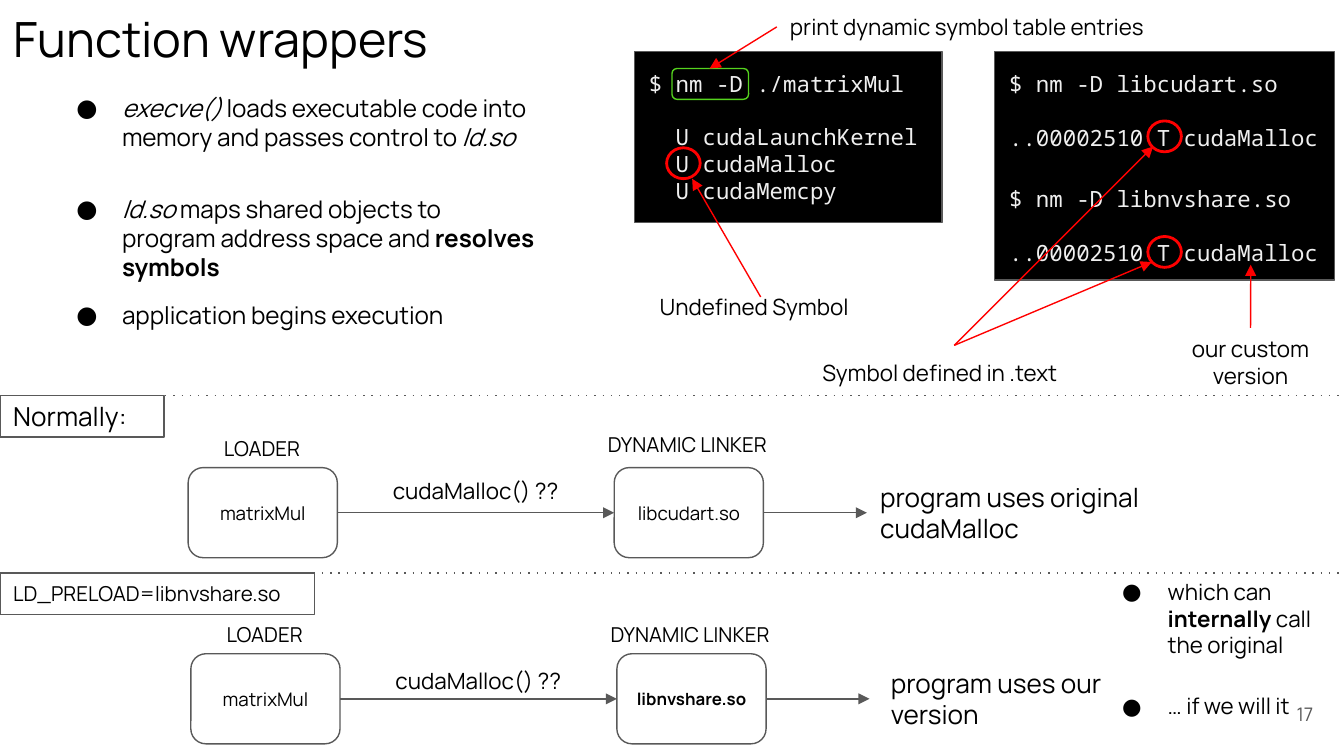
from lxml import etree
from pptx import Presentation
from pptx import util as u
from pptx.dml.color import RGBColor
from pptx.enum import shapes, text
from pptx.oxml.ns import qn

BLACK = RGBColor(0x00, 0x00, 0x00)
GREY = RGBColor(0x59, 0x59, 0x59)
PALE = RGBColor(0xEF, 0xEF, 0xEF)
RED = RGBColor(0xFF, 0x00, 0x00)
GREEN = RGBColor(0x55, 0xD3, 0x1E)
SANS, MONO = "Manrope", "Noto Sans Mono"
LEADING = 1.2  # line pitch as a multiple of the type size

# Grid: 100 columns across a 16:9 slide, rows of the same size
WIDTH = u.Inches(10)
HEIGHT = WIDTH * 9 // 16
CELL = WIDTH / 100

# ---- Content: places are (left, top, width, height) in grid cells ----
BULLETS = [
    ((3.1, 5.95, 38, 6.3), 13, [("execve()", "i"),
     (" loads executable code into memory and passes control to ", ""), ("ld.so", "i")]),
    ((3.1, 13.45, 38, 8.5), 13, [("ld.so", "i"),
     (" maps shared objects to program address space and ", ""), ("resolves symbols", "b")]),
    ((3.1, 21.35, 38, 4.2), 13, [("application begins execution", "")]),
    ((80.9, 42, 19.1, 8), 12, [("which can ", ""), ("internally", "b"),
     (" call the original", "")]),
    ((80.9, 50.5, 19.1, 4), 12, [("… if we will it", "")]),
]
SCREENS = [(47.2, 3.85, 22.9, 12.7), (74, 3.85, 25.3, 17)]
# The first line is the command, the rest its output
LISTINGS = [
    ((47.3, 4.2, 22.6, 12), ["$ nm -D ./matrixMul", "  U cudaLaunchKernel",
                             "  U cudaMalloc", "  U cudaMemcpy"]),
    ((74.1, 4.25, 25.1, 8), ["$ nm -D libcudart.so", "..00002510 T cudaMalloc"]),
    ((74.1, 12.8, 25.1, 8), ["$ nm -D libnvshare.so", "..00002510 T cudaMalloc"]),
]
CIRCLES = [(49.6, 11), (85.4, 9), (85.4, 17.6)]
NOTES = [
    ("Undefined Symbol", (48.1, 20.8, 18.2, 4), "left"),
    ("Symbol defined in .text", (60.2, 25.7, 21.6, 4), "left"),
    ("print dynamic symbol table entries", (57.8, 0, 31.7, 4), "left"),
    ("our custom version", (86.4, 23.95, 13.3, 6), "center"),
]
NOTE_ARROWS = [
    ((56.6, 22.1), (51.5, 13.3)), ((71, 25.7), (85.8, 10.9)),
    ((71, 25.7), (85.7, 19.5)), ((57.8, 2), (52.8, 5.1)), ((93.05, 24.4), (93.06, 19.7)),
]
FLOWS = [
    dict(left=14, top=34.8, library="libcudart.so", size=10, bold=False,
         linker_rise=3.6, call_rise=0.3,
         result="program uses original cudaMalloc", result_box=(64.5, 21.6),
         band=29.43, tag="Normally:", tag_size=14, tag_width=12.2),
    dict(left=14.2, top=48.65, library="libnvshare.so", size=9, bold=True,
         linker_rise=3.3, call_rise=0,
         result="program uses our version", result_box=(65.3, 18.9),
         band=42.63, tag="LD_PRELOAD=libnvshare.so", tag_size=11, tag_width=23.4),
]
NODE_WIDTH, NODE_HEIGHT, NODE_STEP, EXIT_LENGTH = 11.1, 6.7, 31.7, 7.7

deck = Presentation()
deck.slide_width, deck.slide_height = WIDTH, HEIGHT
page = deck.slides.add_slide(deck.slide_layouts[6])


def cells(values):
    return [round(value * CELL) for value in values]


def write(box, paragraphs, size=12, font=SANS, color=BLACK, align="left",
          anchor="top", bold=False, bullet=False, gap=0):
    """Fill box; a paragraph is a string or a list of (text, style) spans.

    gap is the space, in points, between the first two paragraphs.
    """
    frame = box.text_frame
    frame.word_wrap = True
    frame.vertical_anchor = text.MSO_ANCHOR[anchor.upper()]
    frame.margin_left = frame.margin_right = u.Inches(0.1)
    frame.margin_top = frame.margin_bottom = u.Inches(0.1)
    for index, spans in enumerate(paragraphs):
        para = frame.add_paragraph() if index else frame.paragraphs[0]
        if bullet:
            properties = para._p.get_or_add_pPr()
            properties.set("marL", str(u.Inches(0.5)))
            properties.set("indent", str(-u.Inches(0.34)))
            tint = etree.SubElement(properties, qn("a:buClr"))
            etree.SubElement(tint, qn("a:srgbClr"), val=str(color))
            etree.SubElement(properties, qn("a:buFont"), typeface=font)
            etree.SubElement(properties, qn("a:buChar"), char="●")
        para.alignment = text.PP_ALIGN[align.upper()]
        para.line_spacing = u.Pt(size * LEADING)
        if index == 1 and gap:
            para.space_before = u.Pt(gap)
        for content, style in [(spans, "")] if isinstance(spans, str) else spans:
            span = para.add_run()
            span.text = content
            span.font.name, span.font.size = font, u.Pt(size)
            span.font.color.rgb = color
            span.font.bold = bold or style == "b"
            span.font.italic = style == "i"


def label(place, paragraphs, **form):
    write(page.shapes.add_textbox(*cells(place)), paragraphs, **form)


def outline(kind, place, color=GREY, weight=0.75, fill=None):
    shape = page.shapes.add_shape(shapes.MSO_SHAPE[kind], *cells(place))
    shape.shadow.inherit = False
    if fill is None:
        shape.fill.background()
    else:
        shape.fill.solid()
        shape.fill.fore_color.rgb = fill
    shape.line.color.rgb, shape.line.width = color, u.Pt(weight)
    return shape


def connect(start, end, color=GREY, dotted=False):
    """Draw an arrow to end, or a plain dotted line."""
    line = page.shapes.add_connector(shapes.MSO_CONNECTOR.STRAIGHT, *cells(start + end))
    line.line.color.rgb, line.line.width = color, u.Pt(0.75)
    stroke = line.line._get_or_add_ln()
    if dotted:
        dashes = etree.SubElement(stroke, qn("a:custDash"))
        etree.SubElement(dashes, qn("a:ds"), d="100000", sp="500000")
    else:
        etree.SubElement(stroke, qn("a:tailEnd"), type="triangle")
    etree.SubElement(line._element.spPr, qn("a:effectLst"))


# ---- Title and bullets ----
label((0, 0, 47.2, 6), ["Function wrappers"], size=26, anchor="bottom")
for place, size, spans in BULLETS:
    label(place, [spans], size=size, bullet=True)

# ---- Terminal screens ----
for place in SCREENS:
    outline("RECTANGLE", place, fill=BLACK)
for place, lines in LISTINGS:
    label(place, lines, font=MONO, color=PALE, gap=12 * LEADING)

# ---- Marks and notes on the screens ----
for corner in CIRCLES:
    outline("OVAL", corner + (2.5, 2.3), color=RED, weight=1.5)
outline("ROUNDED_RECTANGLE", (50, 5.1, 5.7, 2.3), color=GREEN)
for content, place, align in NOTES:
    label(place, [content], align=align)
for start, end in NOTE_ARROWS:
    connect(start, end, color=RED)

# ---- Loader and linker flows ----
for flow in FLOWS:
    left, top = flow["left"], flow["top"]
    linker = left + NODE_STEP
    middle = top + NODE_HEIGHT / 2
    nodes = [(left, "matrixMul", 10, False),
             (linker, flow["library"], flow["size"], flow["bold"])]
    for node_left, name, size, bold in nodes:
        node = outline("ROUNDED_RECTANGLE", (node_left, top, NODE_WIDTH, NODE_HEIGHT))
        write(node, [name], size=size, bold=bold, align="center", anchor="middle")
    label((left + 0.2, top - 3.3, 10.6, 3.8), ["LOADER"], size=11, align="center")
    label((linker - 2.6, top - flow["linker_rise"], 16.1, 3.8), ["DYNAMIC LINKER"],
          size=11, align="center")
    label((left + 11.4, top - flow["call_rise"], 20, 4), ["cudaMalloc() ??"],
          align="center")
    exit_left = linker + NODE_WIDTH
    connect((left + NODE_WIDTH, middle), (linker, middle))
    connect((exit_left, middle), (exit_left + EXIT_LENGTH, middle))
    result_left, result_width = flow["result_box"]
    label((result_left, top, result_width, NODE_HEIGHT), [flow["result"]], size=14)

    # Divider and tag above the flow
    connect((0, flow["band"]), (100, flow["band"]), dotted=True)
    tag = outline("RECTANGLE", (0, flow["band"], flow["tag_width"], 3.1))
    write(tag, [flow["tag"]], size=flow["tag_size"], anchor="middle")

# ---- Page number ----
label((92.7, 51, 6, 4.3), ["17"], size=10, color=GREY, align="right", anchor="middle")

deck.save("out.pptx")
